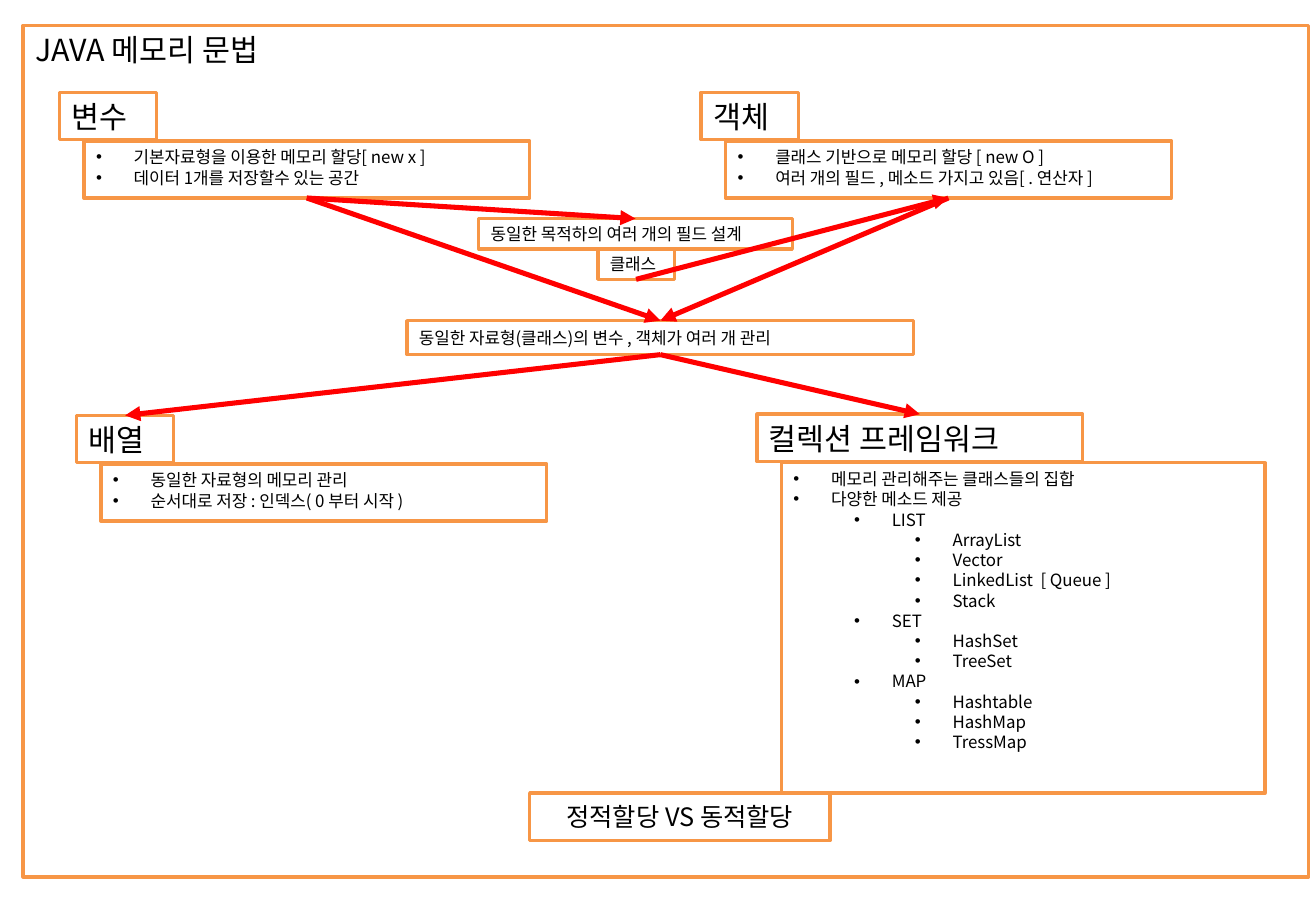
import pptx
import pptx.util
import pptx.dml.color
import pptx.enum.shapes
import pptx.enum.text
import pptx.oxml.ns
import lxml.etree

Inches = pptx.util.Inches
Pt = pptx.util.Pt
qn = pptx.oxml.ns.qn

FONT = "Noto Sans CJK KR"
ORANGE = pptx.dml.color.RGBColor(0xF7, 0x96, 0x46)
RED = pptx.dml.color.RGBColor(0xFF, 0x00, 0x00)
BLACK = pptx.dml.color.RGBColor(0x00, 0x00, 0x00)
LEFT = pptx.enum.text.PP_ALIGN.LEFT
CENTER = pptx.enum.text.PP_ALIGN.CENTER
TOP = pptx.enum.text.MSO_ANCHOR.TOP
MIDDLE = pptx.enum.text.MSO_ANCHOR.MIDDLE

HEADING_HEIGHT = 0.39
LIST_SHIFT = 0.2  # each list sits right of and below its heading

# Heading, left, top, heading width, list width, list height, (level, item)
TOPICS = {
    "variable": ("변수", 0.49, 0.76, 0.8, 3.67, 0.47, [
        (0, "기본자료형을 이용한 메모리 할당[ new x ]"),
        (0, "데이터 1개를 저장할수 있는 공간")]),
    "array": ("배열", 0.63, 3.42, 0.8, 3.67, 0.47, [
        (0, "동일한 자료형의 메모리 관리"),
        (0, "순서대로 저장 : 인덱스( 0 부터 시작 )")]),
    "object": ("객체", 5.77, 0.76, 0.8, 3.67, 0.47, [
        (0, "클래스 기반으로 메모리 할당 [ new O ]"),
        (0, "여러 개의 필드 , 메소드 가지고 있음[ . 연산자 ]")]),
    "collection": ("컬렉션 프레임워크", 6.23, 3.41, 2.68, 3.98, 2.72, [
        (0, "메모리 관리해주는 클래스들의 집합"),
        (0, "다양한 메소드 제공"),
        (1, "LIST"),
        (2, "ArrayList"), (2, "Vector"),
        (2, "LinkedList  [ Queue ]"), (2, "Stack"),
        (1, "SET"),
        (2, "HashSet"), (2, "TreeSet"),
        (1, "MAP"),
        (2, "Hashtable"), (2, "HashMap"), (2, "TressMap")]),
}


def place(shape, left, top, width, height):
    shape.left, shape.top = Inches(left), Inches(top)
    shape.width, shape.height = Inches(width), Inches(height)


def format_frame(shape, size, align=LEFT, anchor=TOP):
    """Orange outline without fill, black text of one size."""
    shape.fill.background()
    shape.line.color.rgb = ORANGE
    shape.line.width = Pt(2)
    frame = shape.text_frame
    frame.word_wrap = True
    frame.auto_size = pptx.enum.text.MSO_AUTO_SIZE.NONE
    frame.vertical_anchor = anchor
    for paragraph in frame.paragraphs:
        paragraph.alignment = align
        paragraph.space_before = Pt(0)
        paragraph.line_spacing = Pt(size * 1.2)
        for run in paragraph.runs:
            run.font.size = Pt(size)
            run.font.name = FONT
            run.font.bold = False
            run.font.color.rgb = BLACK
            east_asian = lxml.etree.Element(qn("a:ea"), typeface=FONT)
            run.font._element.find(qn("a:latin")).addnext(east_asian)


def add_box(slide, text, left, top, width, height, size, align=LEFT):
    box = slide.shapes.add_shape(
        pptx.enum.shapes.MSO_SHAPE.RECTANGLE,
        Inches(left), Inches(top), Inches(width), Inches(height))
    box.shadow.inherit = False
    box.text_frame.text = text
    format_frame(box, size, align, MIDDLE)
    return box


def fill_list(body, items, left, top, width, height):
    place(body, left, top, width, height)
    body.text_frame.text = "\n".join(text for _, text in items)
    format_frame(body, 10)
    for paragraph, (level, _) in zip(body.text_frame.paragraphs, items):
        paragraph.level = level
        properties = paragraph._p.get_or_add_pPr()
        properties.set("marL", str(Inches(0.31 + 0.5 * level)))
        properties.set("indent", str(Inches(-0.31)))
        bullet_font = lxml.etree.SubElement(properties, qn("a:buFont"))
        bullet_font.set("typeface", "Arial")
        lxml.etree.SubElement(properties, qn("a:buChar")).set("char", "•")


def add_topic(slide, body, topic):
    text, left, top, width, list_width, list_height, items = topic
    heading = add_box(slide, text, left, top, width, HEADING_HEIGHT, 18)
    fill_list(body, items, left + LIST_SHIFT, top + HEADING_HEIGHT + 0.01,
              list_width, list_height)
    return heading


def bottom_of(shape):
    return shape.left + shape.width // 2, shape.top + shape.height


def top_of(shape):
    return shape.left + shape.width // 2, shape.top


def add_arrow(slide, start, end):
    arrow = slide.shapes.add_connector(
        pptx.enum.shapes.MSO_CONNECTOR.STRAIGHT, *start, *end)
    arrow.line.color.rgb = RED
    arrow.line.width = Pt(3)
    line = arrow.line._get_or_add_ln()
    lxml.etree.SubElement(line, qn("a:tailEnd")).set("type", "triangle")
    lxml.etree.SubElement(arrow._element.spPr, qn("a:effectLst"))


def main():
    deck = pptx.Presentation()
    deck.slide_width, deck.slide_height = Inches(10.83), Inches(7.5)
    # The comparison layout has a title and four body placeholders
    slide = deck.slides.add_slide(deck.slide_layouts[4])

    # Title, whose outline frames the whole slide
    title = slide.shapes.title
    place(title, 0.19, 0.21, 10.58, 7.01)
    title.text_frame.text = "JAVA 메모리 문법"
    format_frame(title, 18)

    # Four topics, each a heading with its list
    lists = dict(zip(TOPICS, [slide.placeholders[i] for i in (1, 2, 3, 4)]))
    headings = {name: add_topic(slide, lists[name], topic)
                for name, topic in TOPICS.items()}

    # Linking ideas between the topics
    field_design = add_box(slide, "동일한 목적하의 여러 개의 필드 설계",
                           3.94, 1.8, 2.58, 0.25, 10)
    class_box = add_box(slide, "클래스", 4.92, 2.05, 0.63, 0.25, 10)
    managing = add_box(slide, "동일한 자료형(클래스)의 변수 , 객체가 여러 개 관리",
                       3.35, 2.64, 4.17, 0.28, 10)

    # Arrows
    variable_end = bottom_of(lists["variable"])
    object_end = bottom_of(lists["object"])
    for start, end in (
            (variable_end, top_of(field_design)),
            (bottom_of(class_box), object_end),
            (variable_end, top_of(managing)),
            (object_end, top_of(managing)),
            (bottom_of(managing), top_of(headings["array"])),
            (bottom_of(managing), top_of(headings["collection"]))):
        add_arrow(slide, start, end)

    # Closing comparison
    add_box(slide, "정적할당 VS 동적할당", 4.36, 6.53, 2.47, HEADING_HEIGHT,
            15, CENTER)

    deck.save("out.pptx")


main()
